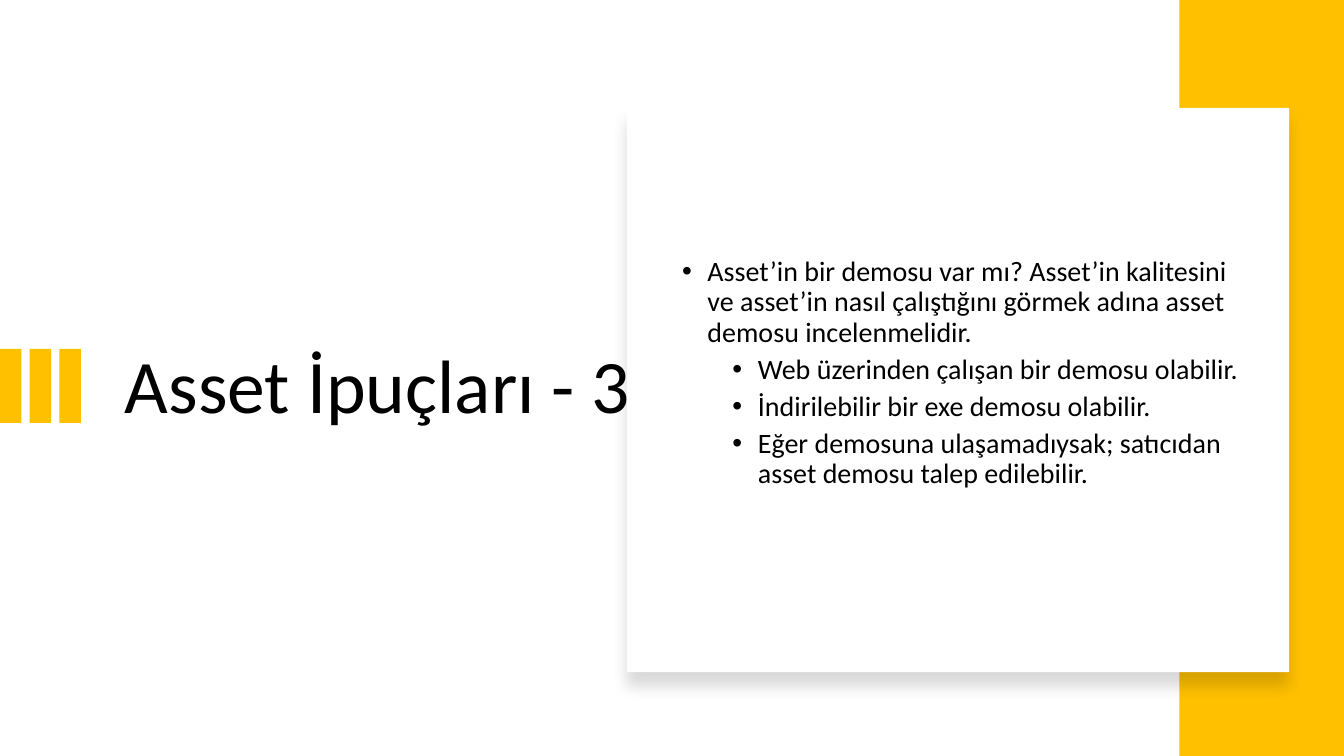
from lxml import etree
from pptx import Presentation
from pptx.dml.color import RGBColor
from pptx.enum import shapes, text
from pptx.oxml import ns
from pptx.util import Cm, Pt

AMBER = RGBColor(0xFF, 0xC0, 0x00)
WHITE = RGBColor(0xFF, 0xFF, 0xFF)
BLACK = RGBColor(0x00, 0x00, 0x00)
FONT = "Calibri"
TITLE = "Asset İpuçları - 3"
TIPS = [
    (0, "Asset’in bir demosu var mı? Asset’in kalitesini ve asset’in nasıl "
        "çalıştığını görmek adına asset demosu incelenmelidir."),
    (1, "Web üzerinden çalışan bir demosu olabilir."),
    (1, "İndirilebilir bir exe demosu olabilir."),
    (1, "Eğer demosuna ulaşamadıysak; satıcıdan asset demosu talep edilebilir."),
]


def add_rectangle(slide, left, top, width, height, color):
    shape = slide.shapes.add_shape(
        shapes.MSO_SHAPE.RECTANGLE, Cm(left), Cm(top), Cm(width), Cm(height))
    shape.shadow.inherit = False
    shape.fill.solid()
    shape.fill.fore_color.rgb = color
    shape.line.fill.background()
    return shape


def add_soft_shadow(shape):
    effects = shape._element.spPr.find(ns.qn("a:effectLst"))
    shadow = etree.SubElement(
        effects, ns.qn("a:outerShdw"), blurRad=str(Pt(11)), dist=str(Pt(10)),
        dir=str(90 * 60000), algn="t", rotWithShape="0")
    color = etree.SubElement(shadow, ns.qn("a:srgbClr"), val=str(BLACK))
    etree.SubElement(color, ns.qn("a:alpha"), val="15000")


def add_text_frame(slide, left, top, width, height):
    frame = slide.shapes.add_textbox(
        Cm(left), Cm(top), Cm(width), Cm(height)).text_frame
    frame.word_wrap = True
    frame.vertical_anchor = text.MSO_ANCHOR.MIDDLE
    return frame


def style_paragraph(paragraph, size):
    paragraph.line_spacing = 0.9
    paragraph.font.name = FONT
    paragraph.font.size = Pt(size)
    paragraph.font.color.rgb = BLACK


def add_bullet(paragraph, level):
    paragraph.level = level
    properties = paragraph._p.get_or_add_pPr()
    properties.set("marL", str(Cm(0.64 + 1.27 * level)))
    properties.set("indent", str(Cm(-0.64)))
    etree.SubElement(properties, ns.qn("a:buFont"), typeface="Arial")
    etree.SubElement(properties, ns.qn("a:buChar"), char="•")


def add_title(slide):
    frame = add_text_frame(slide, 2.9, 3.71, 13.64, 12.17)
    paragraph = frame.paragraphs[0]
    paragraph.text = TITLE
    style_paragraph(paragraph, 54)


def add_tips(slide):
    frame = add_text_frame(slide, 16.94, 3.71, 14.6, 12.17)
    frame.margin_bottom = Cm(0.88)
    for index, (level, tip) in enumerate(TIPS):
        paragraph = frame.add_paragraph() if index else frame.paragraphs[0]
        paragraph.text = tip
        add_bullet(paragraph, level)
        style_paragraph(paragraph, 20)
        if index:
            paragraph.space_before = Pt(5)


def main():
    presentation = Presentation()
    presentation.slide_width = Cm(33.87)
    presentation.slide_height = Cm(19.05)
    slide = presentation.slides.add_slide(presentation.slide_layouts[6])
    add_title(slide)
    for index in range(3):
        add_rectangle(slide, 0.75 * index, 8.79, 0.54, 1.87, AMBER)
    add_rectangle(slide, 29.72, 0, 4.15, 19.05, AMBER)
    card = add_rectangle(slide, 15.8, 2.72, 16.69, 14.22, WHITE)
    add_soft_shadow(card)
    add_tips(slide)
    presentation.save("out.pptx")


if __name__ == "__main__":
    main()
